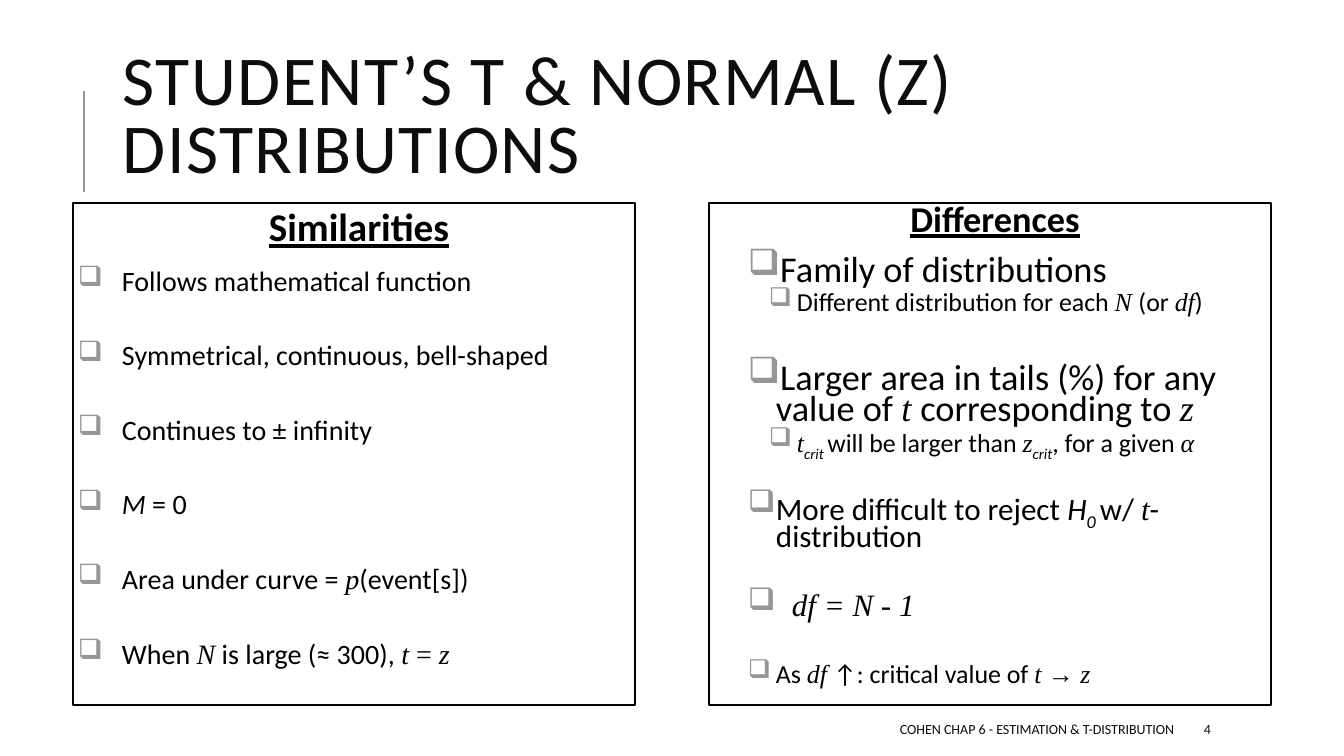
from lxml.etree import SubElement
from pptx import Presentation
from pptx.dml.color import RGBColor
from pptx.enum.shapes import MSO_CONNECTOR, MSO_SHAPE
from pptx.enum.text import MSO_ANCHOR, PP_ALIGN
from pptx.oxml.ns import qn
from pptx.util import Emu, Pt

# Content
COLORS = {"ink": "000000", "soft_ink": "0D0D0D", "rule": "969696", "paper": "FFFFFF"}
TITLE = "STUDENT’S T & NORMAL (Z) DISTRIBUTIONS"
FOOTER = "COHEN CHAP 6 - ESTIMATION & T-DISTRIBUTION"
PAGE = "4"

# Run styles: font, italic, subscript
STYLES = {
    "plain": ("Calibri", False, False),
    "italic": ("Calibri", True, False),
    "sub": ("Calibri", True, True),
    "var": ("Times New Roman", True, False),
    "sign": ("Times New Roman", False, False),
}

SIMILARITIES = [
    [("Follows mathematical function", "plain")],
    [("Symmetrical, continuous, bell-shaped", "plain")],
    [("Continues to ± infinity", "plain")],
    [("M", "italic"), (" = 0", "plain")],
    [("Area under curve = ", "plain"), ("p", "var"), ("(event[s])", "plain")],
    [("When ", "plain"), ("N", "var"), (" is large (≈ 300), ", "plain"),
     ("t", "var"), (" = ", "sign"), ("z", "var")],
]

# Differences: size pt, text left px, hanging px, space before pt, space after pt, runs
DIFFERENCES = [
    (25.9, 62, 28, 12, 2, [("Family of distributions", "plain")]),
    (18.5, 83, 28, 2, 4, [
        ("Different distribution for each ", "plain"), ("N ", "var"),
        ("(or ", "plain"), ("df", "var"), (")", "plain")]),
    (25.9, 62, 28, 32, 2, [
        ("Larger area in tails (%) for any value of ", "plain"), ("t ", "var"),
        ("corresponding to ", "plain"), ("z", "var")]),
    (18.5, 83, 28, 2, 4, [
        ("t", "var"), ("crit ", "sub"), ("will be larger than ", "plain"),
        ("z", "var"), ("crit", "sub"), (", for a given ", "plain"), ("α", "var")]),
    (22.2, 62, 28, 24, 4, [
        ("More difficult to reject ", "plain"), ("H", "italic"), ("0 ", "sub"),
        ("w/ ", "plain"), ("t", "var"), ("-distribution", "plain")]),
    (22.2, 78, 44, 27, 4, [("df = N - 1", "var")]),
    (18.5, 62, 28, 27, 4, [
        ("As ", "plain"), ("df ", "var"), ("↑: critical value of ", "plain"),
        ("t ", "var"), ("→ ", "sign"), ("z", "var")]),
]

# Similarities share one format; only the first sits close to the heading
similar_items = [(20, 44, 44, 32 if index else 12, 2, runs)
                 for index, runs in enumerate(SIMILARITIES)]

# Panels: left px, heading, heading size, line spacing, items
PANELS = [
    (73, "Similarities", 28, 0.9, 0.8, similar_items),
    (709, "Differences", 25.9, 0.7, 0.7, DIFFERENCES),
]
PANEL_TOP, PANEL_WIDTH, PANEL_HEIGHT, PANEL_INSET = 203, 562, 502, 5


def px(length):
    return Emu(round(length * 914400 / 100.8))


def color(name):
    return RGBColor.from_string(COLORS[name])


def style_run(run, size, ink, style="plain"):
    face, italic, subscript = STYLES[style]
    run.font.name = face
    run.font.size = Pt(size)
    run.font.italic = italic
    run.font.color.rgb = color(ink)
    if subscript:
        run.font._element.set("baseline", "-25000")


def space(paragraph, line, before, after, left, hanging=0):
    paragraph.line_spacing = line
    paragraph.space_before = Pt(before)
    paragraph.space_after = Pt(after)
    properties = paragraph._p.get_or_add_pPr()
    properties.set("marL", str(px(left)))
    properties.set("indent", str(px(-hanging)))
    return properties


def add_label(slide, box, text, size, align=PP_ALIGN.LEFT):
    frame = slide.shapes.add_textbox(*map(px, box)).text_frame
    frame.word_wrap = True
    frame.vertical_anchor = MSO_ANCHOR.MIDDLE
    frame.text = text
    label = frame.paragraphs[0]
    label.alignment = align
    style_run(label.runs[0], size, "soft_ink")
    return label


def add_panel(slide, left, heading, heading_size, heading_line, item_line, items):
    panel = slide.shapes.add_shape(
        MSO_SHAPE.RECTANGLE, px(left), px(PANEL_TOP), px(PANEL_WIDTH), px(PANEL_HEIGHT))
    panel.shadow.inherit = False
    panel.fill.solid()
    panel.fill.fore_color.rgb = color("paper")
    panel.line.color.rgb = color("ink")
    panel.line.width = Pt(1.25)

    frame = panel.text_frame
    frame.word_wrap = True
    frame.vertical_anchor = MSO_ANCHOR.TOP
    frame.margin_left = frame.margin_right = px(PANEL_INSET)
    frame.margin_top = frame.margin_bottom = px(PANEL_INSET)

    frame.text = heading
    top = frame.paragraphs[0]
    top.alignment = PP_ALIGN.CENTER
    space(top, heading_line, 12, 2, 10)
    style_run(top.runs[0], heading_size, "ink")
    top.runs[0].font.bold = True
    top.runs[0].font.underline = True

    for size, text_left, hanging, before, after, runs in items:
        item = frame.add_paragraph()
        item.alignment = PP_ALIGN.LEFT
        properties = space(item, item_line, before, after, text_left, hanging)
        bullet_color = SubElement(properties, qn("a:buClr"))
        SubElement(bullet_color, qn("a:srgbClr")).set("val", COLORS["rule"])
        SubElement(properties, qn("a:buChar")).set("char", "❑")
        for text, style in runs:
            run = item.add_run()
            run.text = text
            style_run(run, size, "ink", style)


def main():
    deck = Presentation()
    deck.slide_width, deck.slide_height = px(1344), px(756)
    slide = deck.slides.add_slide(deck.slide_layouts[6])

    # Title and its rule
    rule = slide.shapes.add_connector(
        MSO_CONNECTOR.STRAIGHT, px(84), px(192), px(84), px(91))
    rule.line.color.rgb = color("rule")
    rule.line.width = Pt(1.5)
    SubElement(rule._element.spPr, qn("a:effectLst"))
    title = add_label(slide, (113, 37, 1071, 165), TITLE, 50)
    title.line_spacing = 0.8
    title.runs[0].font._element.set("spc", "100")

    # Two panels
    for panel in PANELS:
        add_panel(slide, *panel)

    # Footer
    add_label(slide, (534, 714, 650, 30), FOOTER, 10, PP_ALIGN.RIGHT)
    add_label(slide, (1194, 714, 107, 30), PAGE, 10)

    deck.save("out.pptx")


if __name__ == "__main__":
    main()
